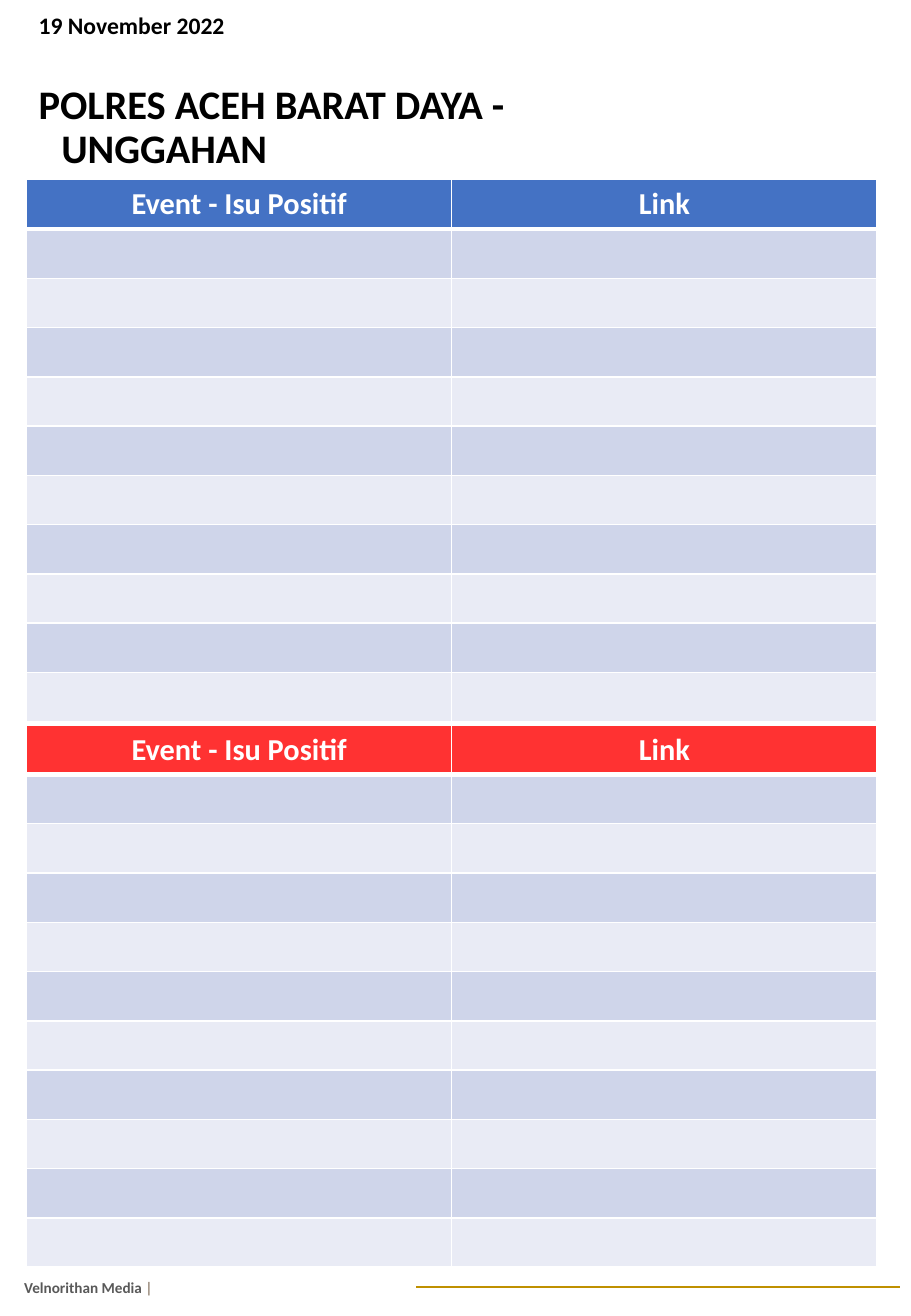
from lxml import etree
from pptx import Presentation
from pptx.dml.color import RGBColor
from pptx.enum import shapes, text
from pptx.oxml import ns
from pptx.util import Pt

BLACK = RGBColor(0x00, 0x00, 0x00)
WHITE = RGBColor(0xFF, 0xFF, 0xFF)
GREY = RGBColor(0x59, 0x59, 0x59)
TAUPE = RGBColor(0x99, 0x8B, 0x7B)
GOLD = RGBColor(0xBF, 0x90, 0x00)
BLUE = RGBColor(0x44, 0x72, 0xC4)
RED = RGBColor(0xFF, 0x32, 0x32)
BANDS = (RGBColor(0xCF, 0xD5, 0xEA), RGBColor(0xE9, 0xEB, 0xF5))

FONT = "Calibri"
DATE = "19 November 2022"
TITLE = "POLRES ACEH BARAT DAYA - UNGGAHAN"
FOOTER = "Velnorithan Media "
HEADERS = ("Event - Isu Positif", "Link")
TABLES = ((106.5, BLUE), (429.7, RED))  # top, header colour

EMPTY_ROWS = 10
LEFT, COL_W, ROW_H = 15.8, 252, 29.2
HANG = 13.5


def add_run(p, words, size=9, color=BLACK, bold=True, spacing=None):
    r = p.add_run()
    r.text = words
    r.font.name, r.font.size, r.font.bold = FONT, Pt(size), bold
    r.font.color.rgb = color
    if spacing is not None:
        r._r.get_or_add_rPr().set("spc", str(round(spacing * 100)))


def add_text(s, box, words, hang=0, line=1.0, anchor=text.MSO_ANCHOR.TOP, **fmt):
    tf = s.shapes.add_textbox(*map(Pt, box)).text_frame
    tf.word_wrap = True
    tf.vertical_anchor = anchor
    p = tf.paragraphs[0]
    p.line_spacing = line
    if hang:
        pPr = p._p.get_or_add_pPr()
        pPr.set("marL", str(Pt(hang)))
        pPr.set("indent", str(-Pt(hang)))
    add_run(p, words, **fmt)
    return p


def set_borders(cell, bottom):
    """Draw white cell edges; they must come before the fill in tcPr."""
    tcPr = cell._tc.get_or_add_tcPr()
    for i, (side, width) in enumerate(zip("LRTB", (1, 1, 1, bottom))):
        ln = etree.Element(ns.qn(f"a:ln{side}"), w=str(Pt(width)))
        fill = etree.SubElement(ln, ns.qn("a:solidFill"))
        etree.SubElement(fill, ns.qn("a:srgbClr"), val=str(WHITE))
        tcPr.insert(i, ln)


def add_issue_table(s, top, header_color):
    rows = EMPTY_ROWS + 1
    table = s.shapes.add_table(rows, len(HEADERS), Pt(LEFT), Pt(top),
                               Pt(COL_W * len(HEADERS)), Pt(ROW_H * rows)).table
    for i, row in enumerate(table.rows):
        row.height = Pt(ROW_H)
        for cell, header in zip(row.cells, HEADERS):
            cell.fill.solid()
            cell.fill.fore_color.rgb = BANDS[(i - 1) % 2] if i else header_color
            set_borders(cell, bottom=1 if i else 3)
            if i == 0:
                p = cell.text_frame.paragraphs[0]
                p.alignment = text.PP_ALIGN.CENTER
                add_run(p, header, size=18, color=WHITE)


def add_footer(s):
    p = add_text(s, (7.2, 753.8, 347, 18), FOOTER, color=GREY,
                 anchor=text.MSO_ANCHOR.MIDDLE)
    add_run(p, "|", color=TAUPE, spacing=-1.5)
    rule = s.shapes.add_connector(shapes.MSO_CONNECTOR.STRAIGHT,
                                  Pt(246.8), Pt(762.5), Pt(533.5), Pt(762.5))
    rule.line.color.rgb = GOLD
    rule.line.width = Pt(1.5)
    etree.SubElement(rule._element.spPr, ns.qn("a:effectLst"))


def main():
    prs = Presentation()
    prs.slide_width, prs.slide_height = Pt(540), Pt(779.8)
    s = prs.slides.add_slide(prs.slide_layouts[6])
    add_footer(s)
    add_text(s, (LEFT, 5, 299, 39.6), DATE, hang=HANG, line=0.9, size=14)
    add_text(s, (LEFT, 46.8, 413.3, 54), TITLE, hang=HANG, line=0.9, size=24)
    for top, color in TABLES:
        add_issue_table(s, top, color)
    prs.save("out.pptx")


if __name__ == "__main__":
    main()
